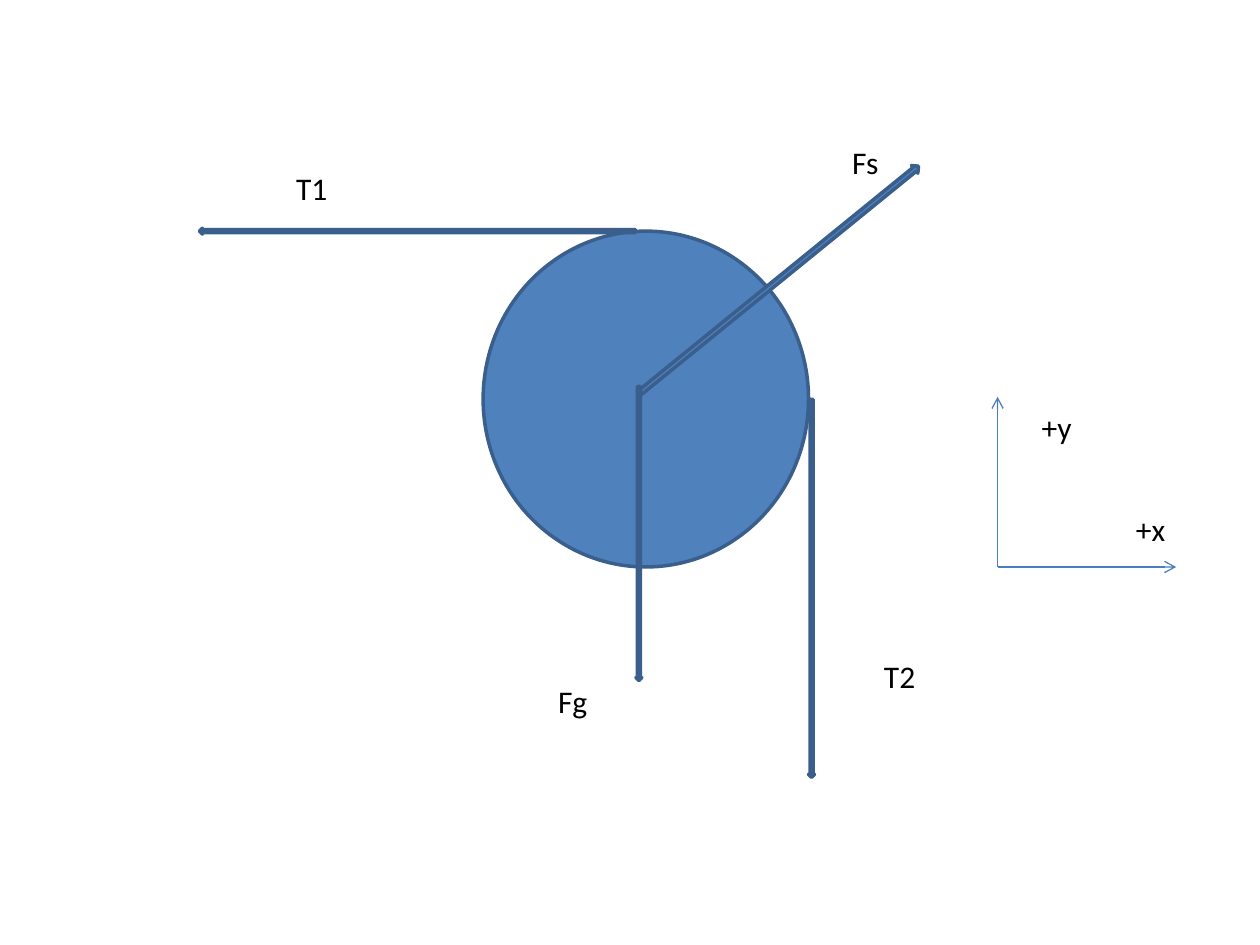
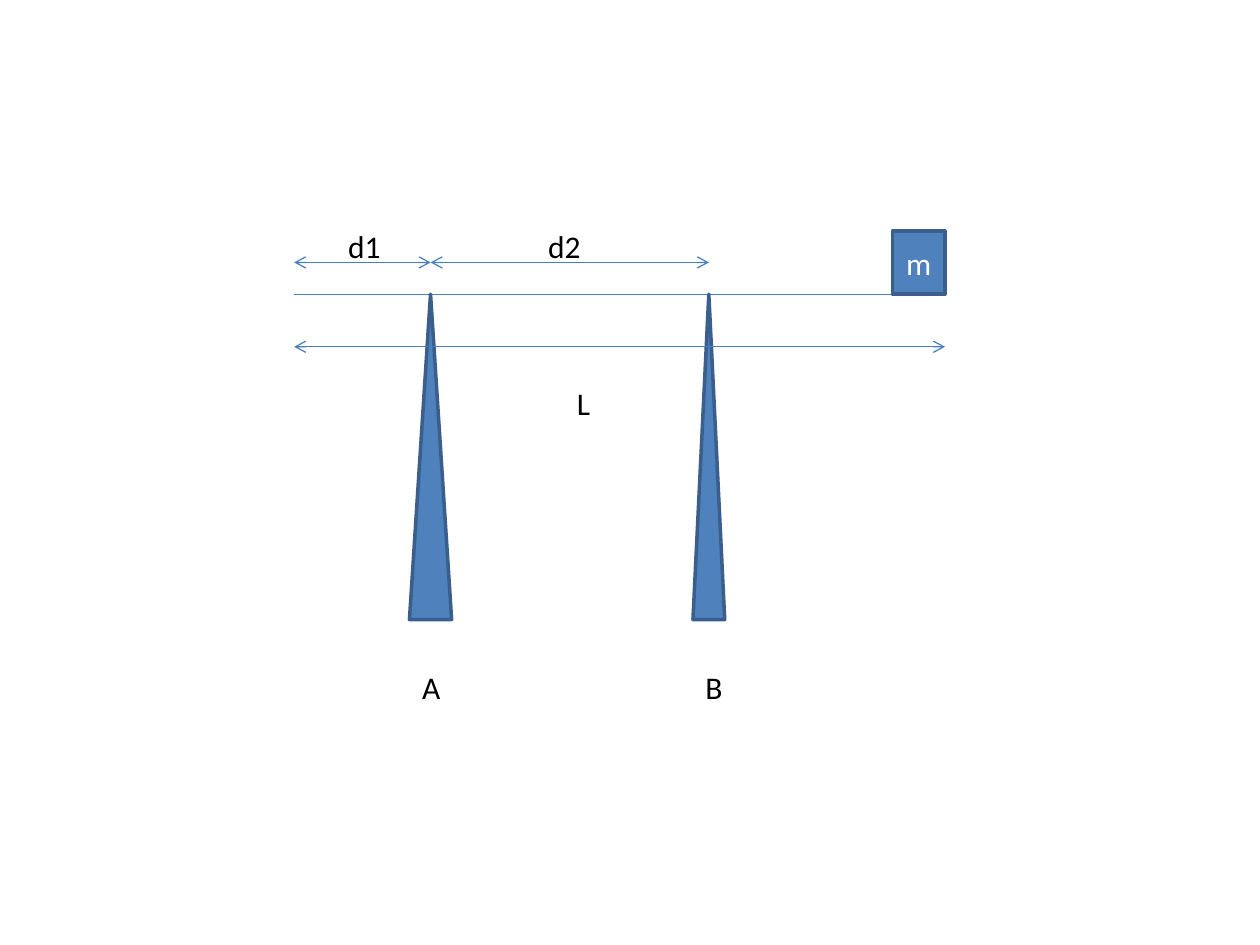
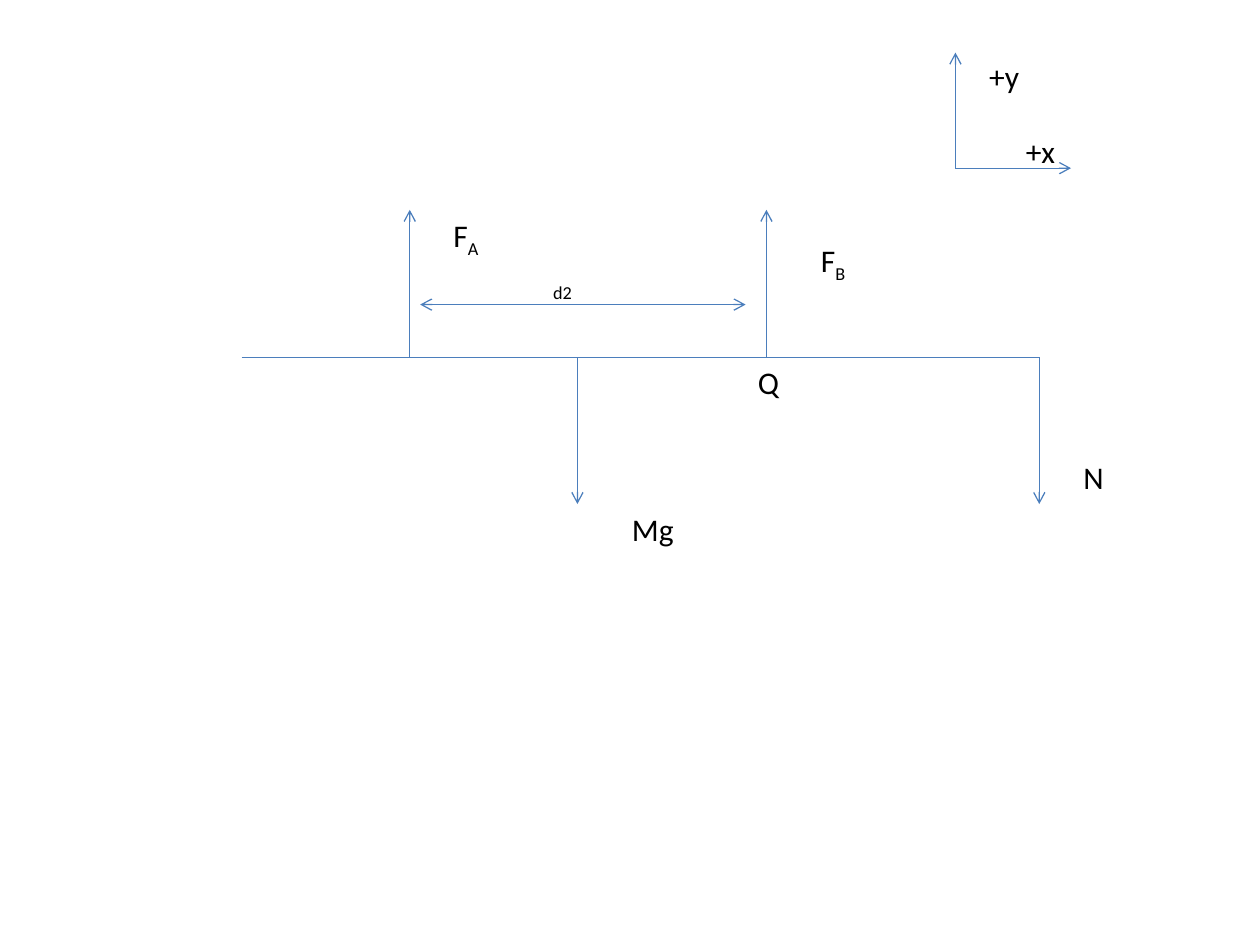
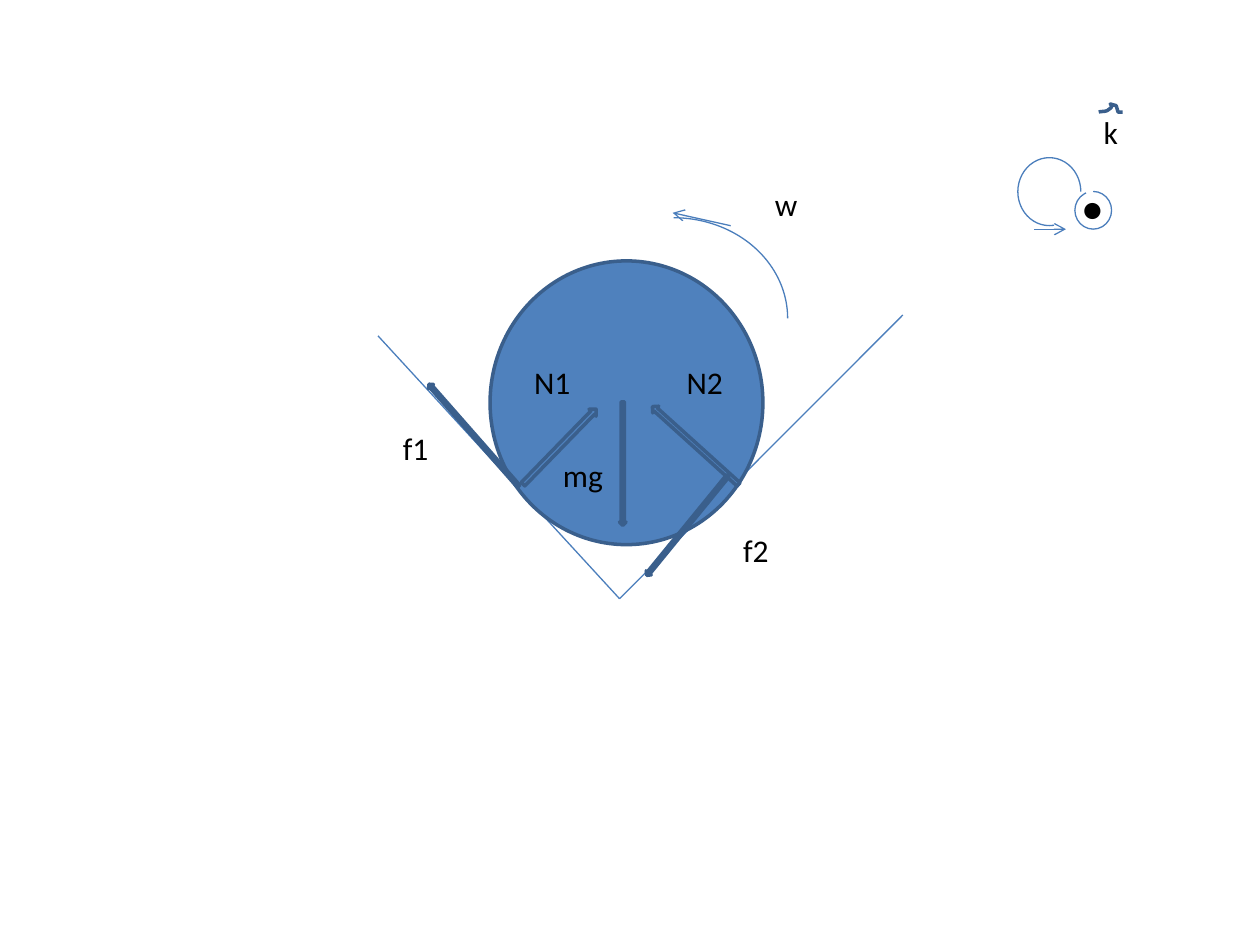
import pptx
import pptx.util
import pptx.dml.color
import pptx.enum.shapes
import pptx.enum.text
from pptx.oxml.ns import qn
from lxml import etree

Cm = pptx.util.Cm
Pt = pptx.util.Pt
KIND = pptx.enum.shapes.MSO_SHAPE
FIT = pptx.enum.text.MSO_AUTO_SIZE
ALIGN = pptx.enum.text.PP_ALIGN
ANCHOR = pptx.enum.text.MSO_ANCHOR


def rgb(code):
    return pptx.dml.color.RGBColor.from_string(code)


# Theme: colours, type and line widths
theme = {
    "font": "Calibri",
    "size": Pt(18),
    "dot": Pt(20),
    "ink": rgb("000000"),
    "light": rgb("FFFFFF"),
    "fill": rgb("4F81BD"),
    "edge": rgb("3A5F8C"),
    "line": rgb("4B7EBC"),
    "thick": Pt(2),
    "thin": Pt(0.75),
    "high": 1.03,
}

# Content, in centimetres
# back, front: lines (x1, y1, x2, y2, arrowheads); "<" start, ">" end
# solid: (kind, left, top, width, height, turn); arcs: (box, adjustments)
# axes: (origin x, origin y, end of x, end of y)
# text: (words, left, top, width, wraps); "_" starts a subscript
beam, deck = (5.93, 19.05), 5.93
posts = {"A": (8.68, 0.85), "B": (14.29, 0.64)}
bar = 7.2

pulley = {
    "solid": [
        (KIND.OVAL, 9.74, 4.66, 6.56, 6.77, 0),
        (KIND.RIGHT_ARROW, 4.02, 4.6, 8.79, 0.12, 180),
        (KIND.DOWN_ARROW, 16.3, 8.05, 0.12, 7.62, 0),
        (KIND.RIGHT_ARROW, 12.07, 5.54, 7.26, 0.2, 320.9),
        (KIND.DOWN_ARROW, 12.82, 7.79, 0.12, 5.93, 0),
    ],
    "axes": (20.11, 11.43, 23.71, 8),
    "text": [
        ("T1", 5.72, 3.28, 1.14, False),
        ("T2", 17.57, 13.12, 1.15, True),
        ("Fs", 16.93, 2.75, 1.05, False),
        ("Fg", 11, 13.63, 1.12, False),
        ("+y", 20.75, 8.1, 1.12, False),
        ("+x", 22.65, 10.16, 1.12, False),
    ],
}

plank = {
    "back": [(beam[0], deck, beam[1], deck, "")],
    "solid": [(KIND.ISOSCELES_TRIANGLE, mid - wide / 2, deck, wide, 6.56, 0)
              for mid, wide in posts.values()],
    "mass": ("m", 17.99, 4.66, 1.06, 1.27),
    "front": [
        (beam[0], 5.29, posts["A"][0], 5.29, "<>"),
        (beam[0], 6.99, beam[1], 6.99, "<>"),
        (posts["A"][0], 5.29, posts["B"][0], 5.29, "<>"),
    ],
    "text": [
        ("d1", 6.77, 4.45, 1.17, False),
        ("d2", 10.8, 4.45, 1.17, False),
        ("L", 11.38, 7.62, 0.8, False),
        ("A", 8.26, 13.34, 0.9, False),
        ("B", 13.97, 13.34, 0.64, True),
    ],
}

forces = {
    "back": [(4.87, bar, 20.95, bar, "")]
    + [(x, bar, x, end, ">") for x, end in
       [(8.26, 4.23), (15.45, 4.23), (11.64, 10.16), (20.95, 10.16)]],
    "axes": (19.26, 3.39, 21.59, 1.06),
    "front": [(8.47, 6.14, 15.03, 6.14, "<>")],
    "text": [
        ("+y", 19.69, 1.02, 1.9, True),
        ("+x", 20.43, 2.54, 2, True),
        ("F_A", 8.89, 4.23, 1.02, False),
        ("F_B", 16.3, 4.74, 1.05, False),
        ("Q", 15.03, bar, 1.37, True),
        ("Mg", 12.49, 10.16, 1.38, False),
        ("N", 21.59, 9.1, 0.92, False),
        ("_d2", 10.9, 5.11, 1.5, True),
    ],
}

groove = {
    "back": [
        (12.49, 12.07, 18.2, 6.35, ""),
        (12.49, 12.07, 7.62, 6.77, ""),
    ],
    "solid": [
        (KIND.OVAL, 9.88, 5.26, 5.5, 5.72, 0),
        (KIND.DOWN_ARROW, 12.49, 8.1, 0.13, 2.49, 0),
        (KIND.RIGHT_ARROW, 12.85, 8.89, 2.34, 0.18, 222.1),
        (KIND.UP_ARROW, 11.18, 7.95, 0.2, 2.11, 44.2),
        (KIND.LEFT_ARROW, 8.18, 8.71, 2.74, 0.13, 48.7),
        (KIND.DOWN_ARROW, 13.79, 9.3, 0.13, 2.59, 39.2),
    ],
    "arcs": [
        ((11.28, 4.39, 4.6, 4.06), ()),
        ((20.52, 3.18, 1.27, 1.37), (49.28, 0)),
        ((21.67, 3.86, 0.74, 0.76), (162, 148.51)),
    ],
    "front": [
        (14.73, 4.55, 13.56, 4.29, ">"),
        (20.85, 4.62, 21.49, 4.62, ">"),
    ],
    # Hat over k: start point, then cubic curves
    "hat": ((22.15, 2.26), [
        ((22.22, 2.24), (22.3, 2.26), (22.35, 2.21)),
        ((22.53, 2.11), (22.23, 2.06), (22.5, 2.13)),
        ((22.56, 2.29), (22.5, 2.26), (22.63, 2.26)),
    ]),
    "text": [
        ("w", 15.37, 3.6, 1.32, True),
        ("●", 21.56, 3.63, 0.94, False),
        ("k", 22, 2.16, 0.81, False),
        ("N1", 10.52, 7.19, 1.24, False),
        ("N2", 13.59, 7.19, 1.24, False),
        ("mg", 11.1, 9.07, 1.32, False),
        ("f1", 7.87, 8.53, 1.04, False),
        ("f2", 14.73, 10.59, 1.04, False),
    ],
}


# Format helpers
def put(obj, vals):
    for name, val in vals.items():
        setattr(obj, name, val)


def box(*sizes):
    return [Cm(v) for v in sizes]


def stroke(shape, tone, width):
    shape.line.color.rgb = theme[tone]
    shape.line.width = theme[width]


def write(para, words, tone):
    for i, part in enumerate(words.split("_")):
        if not part:
            continue
        run = para.add_run()
        run.text = part
        put(run.font, {"name": theme["font"],
                       "size": theme["dot" if part == "●" else "size"]})
        run.font.color.rgb = theme[tone]
        if i:
            run._r.get_or_add_rPr().set("baseline", "-25000")


# Drawing helpers
def rule(slide, x1, y1, x2, y2, heads):
    line = slide.shapes.add_connector(
        pptx.enum.shapes.MSO_CONNECTOR.STRAIGHT, *box(x1, y1, x2, y2))
    stroke(line, "line", "thin")
    pen = line.line._get_or_add_ln()
    for mark, tag in (("<", "a:headEnd"), (">", "a:tailEnd")):
        if mark in heads:
            etree.SubElement(pen, qn(tag)).set("type", "arrow")
    etree.SubElement(line._element.spPr, qn("a:effectLst"))


def solid(slide, kind, left, top, wide, high, turn=0):
    shape = slide.shapes.add_shape(kind, *box(left, top, wide, high))
    shape.rotation = turn
    shape.shadow.inherit = False
    shape.fill.solid()
    shape.fill.fore_color.rgb = theme["fill"]
    stroke(shape, "edge", "thick")
    return shape


def mass(slide, words, *place):
    frame = solid(slide, KIND.RECTANGLE, *place).text_frame
    frame.vertical_anchor = ANCHOR.MIDDLE
    frame.paragraphs[0].alignment = ALIGN.CENTER
    write(frame.paragraphs[0], words, "light")


def arc(slide, place, turns):
    shape = slide.shapes.add_shape(KIND.ARC, *box(*place))
    for i, turn in enumerate(turns):
        shape.adjustments[i] = turn
    shape.shadow.inherit = False
    shape.fill.background()
    stroke(shape, "line", "thin")


def axes(slide, x, y, right, top):
    rule(slide, x, y, right, y, ">")
    rule(slide, x, y, x, top, ">")


def hat(slide, start, curves, steps=8):
    points, last = [], start
    for a, b, end in curves:
        for t in (n / steps for n in range(1, steps + 1)):
            u = 1 - t
            points.append(tuple(
                Cm(u**3 * p + 3 * u * u * t * q + 3 * u * t * t * r + t**3 * s)
                for p, q, r, s in zip(last, a, b, end)))
        last = end
    form = slide.shapes.build_freeform(*box(*start))
    form.add_line_segments(points, close=False)
    shape = form.convert_to_shape()
    shape.shadow.inherit = False
    shape.fill.background()
    stroke(shape, "edge", "thick")


def label(slide, words, left, top, wide, wraps):
    high = 0.77 if words.startswith("_") else theme["high"]
    frame = slide.shapes.add_textbox(*box(left, top, wide, high)).text_frame
    put(frame, {"word_wrap": wraps, "auto_size": FIT.SHAPE_TO_FIT_TEXT})
    write(frame.paragraphs[0], words, "ink")


# Build, from back to front
deck_file = pptx.Presentation()
put(deck_file, {"slide_width": Cm(25.4), "slide_height": Cm(19.05)})

for data in (pulley, plank, forces, groove):
    slide = deck_file.slides.add_slide(deck_file.slide_layouts[6])
    for item in data.get("back", []):
        rule(slide, *item)
    for item in data.get("solid", []):
        solid(slide, *item)
    for item in data.get("arcs", []):
        arc(slide, *item)
    for name, draw in (("mass", mass), ("axes", axes), ("hat", hat)):
        if name in data:
            draw(slide, *data[name])
    for item in data.get("front", []):
        rule(slide, *item)
    for item in data["text"]:
        label(slide, *item)

deck_file.save("out.pptx")
